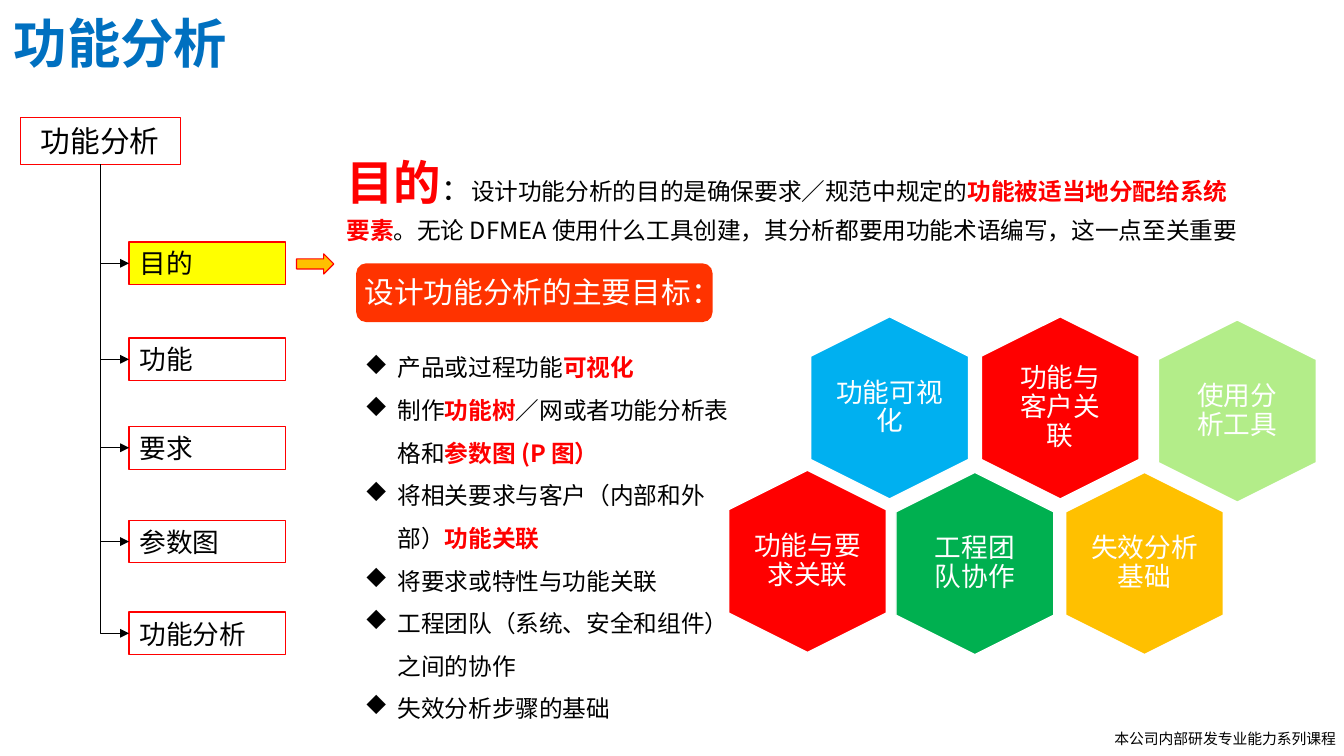
from lxml.etree import SubElement
from pptx import Presentation
from pptx.dml.color import RGBColor
from pptx.enum.shapes import MSO_CONNECTOR, MSO_SHAPE
from pptx.enum.text import MSO_ANCHOR, PP_ALIGN
from pptx.oxml.ns import qn
from pptx.util import Inches, Pt

FONT = "Noto Sans CJK SC"
BLACK, WHITE, RED, BLUE = "000000", "FFFFFF", "FF0000", "0070C0"
YELLOW, AMBER, ORANGE = "FFFF00", "FFC000", "FF3300"

TITLE = "功能分析"
FOOTER = "本公司内部研发专业能力系列课程"
ROOT = "功能分析"
# label, top, fill
BRANCHES = [
    ("目的", 2.27, YELLOW),
    ("功能", 3.17, None),
    ("要求", 4.0, None),
    ("参数图", 4.88, None),
    ("功能分析", 5.74, None),
]
# text, size, colour, bold
PURPOSE = [
    ("目的", 32, RED, True),
    ("：", 20, BLACK, False),
    ("设计功能分析的目的是确保要求／规范中规定的", 16, BLACK, False),
    ("功能被适当地分配给系统要素", 16, RED, True),
    ("。无论 DFMEA 使用什么工具创建，其分析都要用功能术语编写，这一点至关重要",
     16, BLACK, False),
]
GOALS_HEADING = "设计功能分析的主要目标："
# plain and emphasised parts alternate
GOALS = [
    ("产品或过程功能", "可视化"),
    ("制作", "功能树", "／网或者功能分析表格和", "参数图 (P 图）"),
    ("将相关要求与客户（内部和外部）", "功能关联"),
    ("将要求或特性与功能关联",),
    ("工程团队（系统、安全和组件）之间的协作",),
    ("失效分析步骤的基础",),
]
# label, left, top, fill, side margin
HEXAGONS = [
    ("功能与客户关联", 9.2, 2.97, RED, 0.32),
    ("功能可视化", 7.6, 2.97, "00B0F0", 0.22),
    ("工程团队协作", 8.4, 4.43, "00B050", 0.32),
    ("失效分析基础", 9.99, 4.43, AMBER, 0.22),
    ("使用分析工具", 10.86, 3.0, "B3ED89", 0.32),
    ("功能与要求关联", 6.83, 4.41, RED, 0.22),
]
HEX_WIDTH, HEX_HEIGHT, HEX_SHOULDER = 1.48, 1.71, 0.37


def rgb(value):
    return RGBColor.from_string(value)


def set_font(paragraph, size=None, color=None, bold=None, name=FONT):
    font = paragraph.font
    font.name, font.bold = name, bold
    if size:
        font.size = Pt(size)
    if color:
        font.color.rgb = rgb(color)
    east_asian = SubElement(paragraph._p.pPr.find(qn("a:defRPr")), qn("a:ea"))
    east_asian.set("typeface", FONT)


def add_run(paragraph, text, color, bold, size=None):
    run = paragraph.add_run()
    run.text = text
    run.font.bold = bold
    run.font.color.rgb = rgb(color)
    if size:
        run.font.size = Pt(size)


def add_diamond(paragraph):
    properties = paragraph._p.get_or_add_pPr()
    properties.set("marL", str(Inches(0.31)))
    properties.set("indent", str(-Inches(0.31)))
    SubElement(properties, qn("a:buFont")).set("typeface", "Wingdings")
    SubElement(properties, qn("a:buChar")).set("char", "u")


def paint(shape, fill=None, line=None, width=0.75):
    shape.shadow.inherit = False
    if fill:
        shape.fill.solid()
        shape.fill.fore_color.rgb = rgb(fill)
    else:
        shape.fill.background()
    if line:
        shape.line.color.rgb = rgb(line)
        shape.line.width = Pt(width)
    else:
        shape.line.fill.background()


def add_shape(kind, left, top, width, height, fill=None, line=None):
    shape = slide.shapes.add_shape(
        kind, Inches(left), Inches(top), Inches(width), Inches(height))
    paint(shape, fill, line)
    return shape


def add_text(left, top, width, height, wrap=True):
    box = slide.shapes.add_textbox(
        Inches(left), Inches(top), Inches(width), Inches(height))
    box.text_frame.word_wrap = wrap
    return box.text_frame


def add_node(text, left, top, width, height, size, align, fill=None):
    node = add_shape(MSO_SHAPE.RECTANGLE, left, top, width, height, fill, RED)
    node.text_frame.vertical_anchor = MSO_ANCHOR.MIDDLE
    label = node.text_frame.paragraphs[0]
    label.text, label.alignment = text, align
    set_font(label, size, BLACK)
    return node


def link(root, branch):
    """Draw an elbow from under the root to an arrowhead at the branch."""
    elbow = slide.shapes.add_connector(MSO_CONNECTOR.ELBOW, 0, 0, 0, 0)
    elbow.begin_connect(branch, 1)
    elbow.end_connect(root, 2)
    elbow.line.color.rgb = rgb(BLACK)
    elbow.line.width = Pt(0.75)
    properties = elbow._element.spPr
    properties.find(qn("a:prstGeom")).set("prst", "bentConnector2")
    SubElement(elbow.line._get_or_add_ln(), qn("a:headEnd")).set("type", "triangle")
    SubElement(properties, qn("a:effectLst"))


def add_hexagon(text, left, top, fill, margin):
    middle, right = left + HEX_WIDTH / 2, left + HEX_WIDTH
    bottom = top + HEX_HEIGHT
    upper, lower = top + HEX_SHOULDER, bottom - HEX_SHOULDER
    outline = slide.shapes.build_freeform(Inches(middle), Inches(top))
    corners = [(right, upper), (right, lower), (middle, bottom),
               (left, lower), (left, upper)]
    outline.add_line_segments([(Inches(x), Inches(y)) for x, y in corners])
    hexagon = outline.convert_to_shape()
    paint(hexagon, fill, WHITE, 1)
    frame = hexagon.text_frame
    frame.word_wrap = True
    frame.vertical_anchor = MSO_ANCHOR.MIDDLE
    frame.margin_left = frame.margin_right = Inches(margin)
    frame.margin_top = frame.margin_bottom = Inches(margin + 0.03)
    label = frame.paragraphs[0]
    label.text, label.alignment, label.line_spacing = text, PP_ALIGN.CENTER, 0.9
    set_font(label, 18, WHITE, name="Calibri")


deck = Presentation()
deck.slide_width, deck.slide_height = Inches(12.6), Inches(7.09)
slide = deck.slides.add_slide(deck.slide_layouts[5])

title = slide.shapes.title
title.left, title.top = Inches(0.03), Inches(0.05)
title.width, title.height = Inches(4.96), Inches(0.71)
title.text_frame.vertical_anchor = MSO_ANCHOR.TOP
heading = title.text_frame.paragraphs[0]
heading.text, heading.alignment = TITLE, PP_ALIGN.LEFT
set_font(heading, 36, BLUE, True)

footer = add_text(10.35, 6.79, 2.37, 0.27, wrap=False).paragraphs[0]
footer.text = FOOTER
set_font(footer, 10, BLACK)

root = add_node(ROOT, 0.19, 1.1, 1.5, 0.44, 20, PP_ALIGN.CENTER)
for text, top, fill in BRANCHES:
    link(root, add_node(text, 1.21, top, 1.47, 0.4, 18, PP_ALIGN.LEFT, fill))
add_shape(MSO_SHAPE.RIGHT_ARROW, 2.78, 2.38, 0.35, 0.19, AMBER, RED)

purpose = add_text(3.15, 1.28, 8.67, 1.17).paragraphs[0]
purpose.line_spacing = 1.2
set_font(purpose)
for text, size, color, bold in PURPOSE:
    add_run(purpose, text, color, bold, size)

add_shape(MSO_SHAPE.ROUNDED_RECTANGLE, 3.34, 2.47, 3.34, 0.55, ORANGE)
goals = add_text(3.32, 2.52, 3.66, 4.26)
goals_heading = goals.paragraphs[0]
goals_heading.text = GOALS_HEADING
set_font(goals_heading, 20, WHITE)
for number, parts in enumerate(GOALS):
    goal = goals.add_paragraph()
    goal.line_spacing = 1.5
    if number == 0:
        goal.space_before = Pt(20)
    add_diamond(goal)
    set_font(goal, 16)
    for index, text in enumerate(parts):
        emphasised = index % 2 == 1
        add_run(goal, text, RED if emphasised else BLACK, emphasised)

for hexagon in HEXAGONS:
    add_hexagon(*hexagon)

deck.save("out.pptx")
